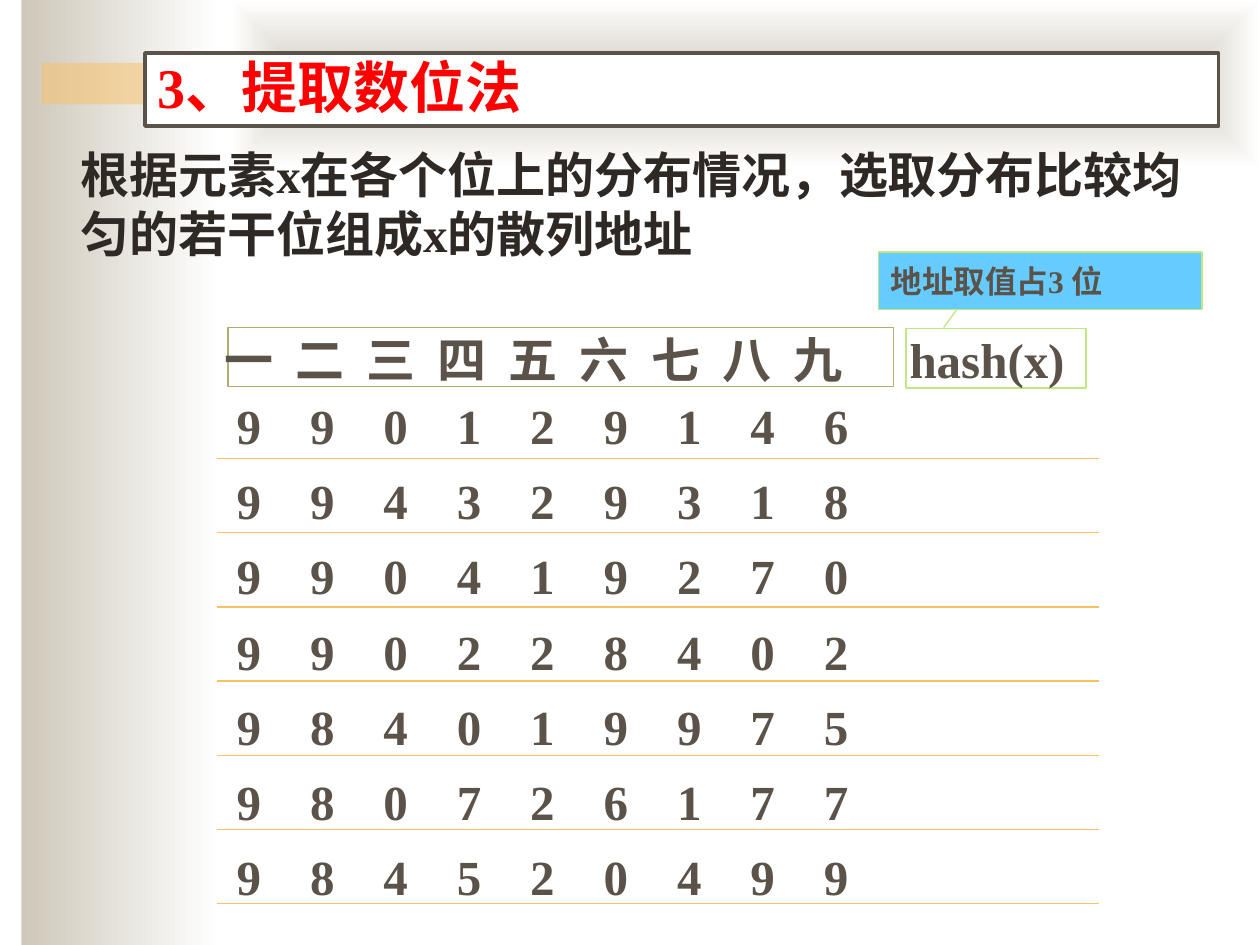
from dataclasses import dataclass

from lxml import etree
from pptx import Presentation
from pptx.dml.color import RGBColor
from pptx.enum.shapes import MSO_CONNECTOR, MSO_SHAPE
from pptx.enum.text import MSO_ANCHOR, MSO_AUTO_SIZE, PP_ALIGN
from pptx.oxml.ns import qn
from pptx.util import Inches, Pt

RECT, STRAIGHT = MSO_SHAPE.RECTANGLE, MSO_CONNECTOR.STRAIGHT
LEFT = PP_ALIGN.LEFT
TOP, MIDDLE, BOTTOM = MSO_ANCHOR.TOP, MSO_ANCHOR.MIDDLE, MSO_ANCHOR.BOTTOM
NO_AUTOFIT = MSO_AUTO_SIZE.NONE

LATIN, EAST_ASIAN = "Times New Roman", "Noto Sans CJK SC"
COLORS = {
    "sand": "CEC8BA", "white": "FFFFFF", "orange": "FAC164", "ink": "2E2924",
    "brown": "5B5249", "red": "FF0000", "olive": "B0AE6A", "lime": "C3E684",
    "sky": "66CCFF",
}

POSITIONS = list("一二三四五六七八九")
KEYS = ["990129146", "994329318", "990419270", "990228402",
        "984019975", "980726177", "984520499"]


@dataclass
class Box:
    left: float
    top: float
    width: float
    height: float

    def lengths(self) -> list:
        return [Inches(v) for v in (self.left, self.top, self.width, self.height)]


@dataclass
class Row:
    """A line of text whose tabs go to the given stops."""
    top: float
    text: str
    stops: list


def spread(first: float, last: float, count: int) -> list:
    """Return count evenly spaced values from first to last."""
    return [first + (last - first) * i / (count - 1) for i in range(count)]


def rgb(name: str) -> RGBColor:
    return RGBColor.from_string(COLORS[name])


def set_fill(sp, color: str) -> None:
    sp.fill.solid()
    sp.fill.fore_color.rgb = rgb(color)


def set_line(sp, color: str, width: float = 0.75) -> None:
    sp.line.color.rgb = rgb(color)
    sp.line.width = Pt(width)


def add_rect(s, box: Box, fill: str = "", line: str = ""):
    sp = s.shapes.add_shape(RECT, *box.lengths())
    sp.shadow.inherit = False
    sp.fill.background()
    sp.line.fill.background()
    if fill:
        set_fill(sp, fill)
    if line:
        set_line(sp, line)
    return sp


def add_gradient_rect(s, box: Box, from_center: bool = False) -> None:
    sp = add_rect(s, box)
    sp.fill.gradient()
    sp.fill.gradient_angle = 0
    for stop, name in zip(sp.fill.gradient_stops, ("sand", "white")):
        stop.color.rgb = rgb(name)
    if from_center:
        grad = sp.element.spPr.find(qn("a:gradFill"))
        grad.remove(grad.find(qn("a:lin")))
        shade = etree.SubElement(grad, qn("a:path"), {"path": "shape"})
        etree.SubElement(shade, qn("a:fillToRect"), dict.fromkeys("ltrb", "50000"))


def add_line(s, x1: float, y1: float, x2: float, y2: float, color: str) -> None:
    line = s.shapes.add_connector(STRAIGHT, *[Inches(v) for v in (x1, y1, x2, y2)])
    set_line(line, color)
    etree.SubElement(line.element.spPr, qn("a:effectLst"))


def write(sp, text: str, size: float, color: str, anchor,
          wrap: bool = True, space_before: float = 0):
    """Set one bold, left-aligned paragraph and return its properties element."""
    tf = sp.text_frame
    tf.auto_size = NO_AUTOFIT
    tf.word_wrap = wrap
    tf.vertical_anchor = anchor
    p = tf.paragraphs[0]
    p.text = text
    p.alignment = LEFT
    p.space_before = Pt(space_before)
    r = p.runs[0]
    r.font.name = LATIN
    r.font.size = Pt(size)
    r.font.bold = True
    r.font.color.rgb = rgb(color)
    latin = next(sp.element.iter(qn("a:latin")))
    latin.addnext(etree.Element(qn("a:ea"), {"typeface": EAST_ASIAN}))
    return next(sp.element.iter(qn("a:pPr")))


def add_row(s, row: Row) -> None:
    tb = s.shapes.add_textbox(*Box(1.68, row.top, 7.12, 0.57).lengths())
    props = write(tb, row.text, 28, "brown", TOP, space_before=5.6)
    tabs = etree.SubElement(props, qn("a:tabLst"))
    for stop in row.stops:
        etree.SubElement(tabs, qn("a:tab"), {"pos": str(Inches(stop)), "algn": "l"})


def place(sp, box: Box) -> None:
    """Position a placeholder and bring it to the front."""
    sp.left, sp.top, sp.width, sp.height = box.lengths()
    sp.element.getparent().append(sp.element)


def add_backdrop(s) -> None:
    add_gradient_rect(s, Box(0.17, 0, 1.58, 7.5))
    add_gradient_rect(s, Box(1.83, 0, 8.17, 1.33), from_center=True)
    strip = add_rect(s, Box(0.33, 0.5, 2.75, 0.33), "orange")
    color = next(strip.element.spPr.iter(qn("a:srgbClr")))
    etree.SubElement(color, qn("a:alpha"), {"val": "50000"})


def fill_title(title) -> None:
    place(title, Box(1.15, 0.42, 8.52, 0.58))
    set_fill(title, "white")
    set_line(title, "brown", 2)
    write(title, "3、提取数位法", 32, "red", BOTTOM)


def fill_body(body) -> None:
    place(body, Box(0.54, 1.1, 9.14, 1.04))
    text = "根据元素x在各个位上的分布情况，选取分布比较均匀的若干位组成x的散列地址"
    props = write(body, text, 28, "ink", TOP, space_before=5.6)
    props.set("marL", "0")
    props.set("indent", "0")
    etree.SubElement(props, qn("a:buNone"))


def add_header_frames(s) -> None:
    """Frame the digit positions and hash(x), with a callout on the latter."""
    add_rect(s, Box(1.81, 2.6, 5.28, 0.47), line="olive")
    add_line(s, 7.49, 2.6, 7.62, 2.42, "lime")
    add_rect(s, Box(7.19, 2.61, 1.43, 0.47), line="lime")
    callout = add_rect(s, Box(6.97, 2, 2.57, 0.46), "sky", "lime")
    write(callout, "地址取值占3 位", 18, "brown", MIDDLE, wrap=False)


def add_key_rows(s) -> None:
    position_stops = spread(0, 4.52, len(POSITIONS))[1:]
    hash_stop = 5.44
    header = "\t".join(POSITIONS + ["hash(x)"])
    add_row(s, Row(2.57, header, position_stops + [hash_stop]))

    digit_stops = spread(0.1, 4.76, len(POSITIONS))
    for top, key in zip(spread(3.09, 6.67, len(KEYS)), KEYS):
        digits = "".join(f"\t{digit}" for digit in key)
        add_row(s, Row(top, digits, digit_stops))
    for y in spread(3.64, 7.17, len(KEYS)):
        add_line(s, 1.72, y, 8.72, y, "orange")


def main() -> None:
    prs = Presentation()
    prs.slide_width, prs.slide_height = Inches(10), Inches(7.5)
    s = prs.slides.add_slide(prs.slide_layouts[1])
    add_backdrop(s)
    fill_body(s.placeholders[1])
    add_header_frames(s)
    add_key_rows(s)
    fill_title(s.shapes.title)
    prs.save("out.pptx")


if __name__ == "__main__":
    main()
